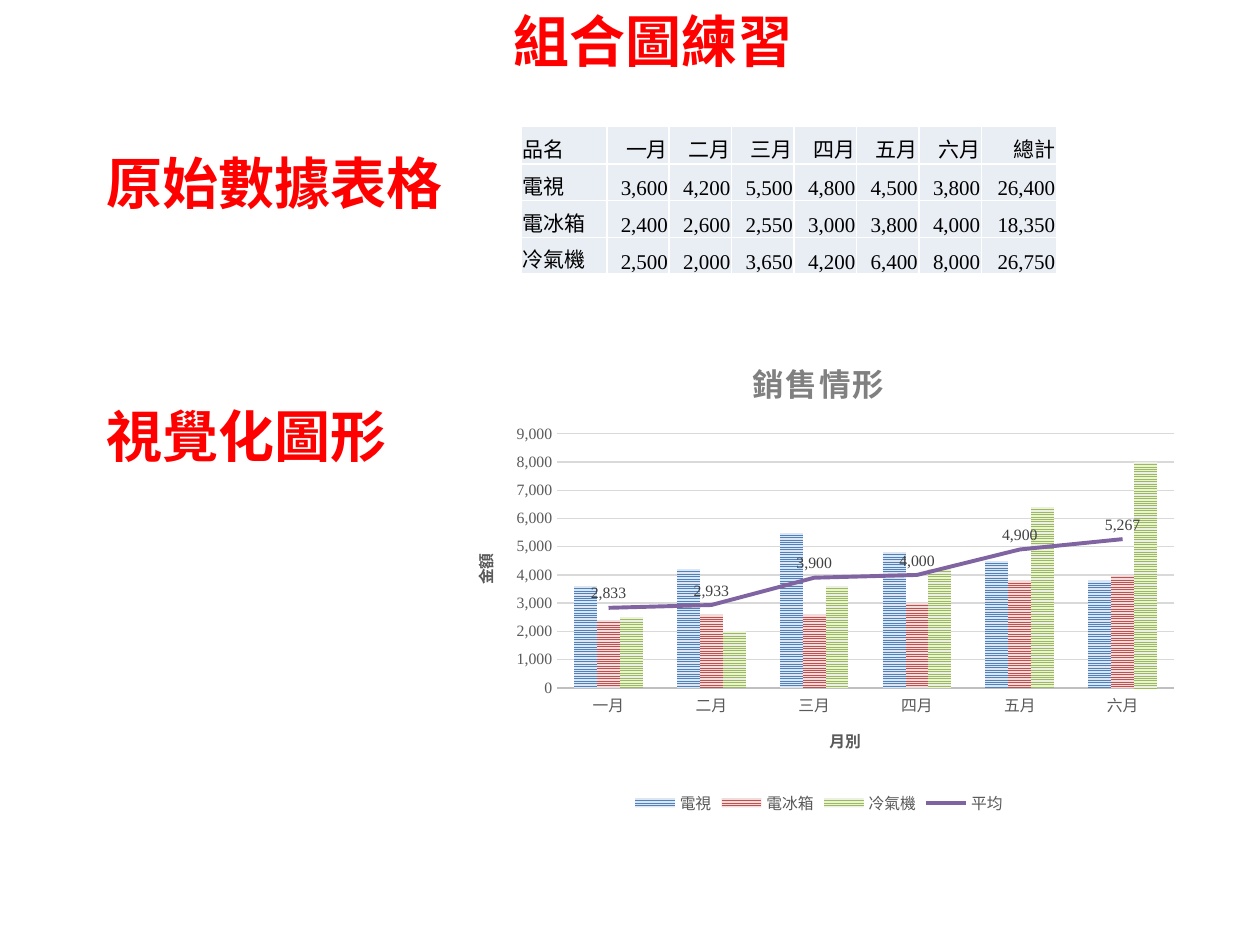
from pptx import Presentation
from pptx.chart.data import CategoryChartData
from pptx.dml.color import RGBColor as RGB
from pptx.enum.chart import (XL_CHART_TYPE as CT, XL_LABEL_POSITION as LP, XL_LEGEND_POSITION as LEG,
                             XL_MARKER_STYLE as MK, XL_TICK_MARK as TM)
from pptx.enum.dml import MSO_PATTERN as PAT
from pptx.enum.text import MSO_ANCHOR as MA, PP_ALIGN as AL
from pptx.oxml import parse_xml
from pptx.oxml.ns import nsdecls, qn
from pptx.util import Emu, Inches, Pt

COLORS = {"heading": "FF0000", "text": "000000", "cell": "E9EDF4", "title": "808080", "axis": "595959",
          "label": "404040", "grid": "D9D9D9", "base": "BFBFBF", "average": "8064A2"}
BARS = [("4F81BD", "DCE6F2"), ("C0504D", "F2DCDB"), ("9BBB59", "EBF1DE")]
SERIF = "Times New Roman"
FORMATS = {
    "heading": {"name": "Arial", "size": Pt(32), "bold": True},
    "text": {"name": SERIF, "size": Pt(12), "bold": False},
    "title": {"name": SERIF, "size": Pt(18), "bold": True},
    "axis": {"name": SERIF, "size": Pt(9), "bold": False},
    "axis_title": {"name": SERIF, "size": Pt(9), "bold": True},
    "label": {"name": SERIF, "size": Pt(9), "bold": False},
}
MONTHS = ["一月", "二月", "三月", "四月", "五月", "六月"]
SALES = {
    "電視": [3600, 4200, 5500, 4800, 4500, 3800],
    "電冰箱": [2400, 2600, 2550, 3000, 3800, 4000],
    "冷氣機": [2500, 2000, 3650, 4200, 6400, 8000],
}
CHART = (35.6, 26.5, 58.8, 38.5)
PLOT = (44.22, 34.43, 48.97, 20.17)


class SlideKit:
    """Style and current slide on a grid of 100 columns by 75 rows."""

    def __init__(self, prs):
        self.s = prs.slides.add_slide(prs.slide_layouts[5])
        self.unit = prs.slide_width / 100

    def grid(self, *cells):
        return [Emu(round(c * self.unit)) for c in cells]

    def font(self, font, style, color=None):
        for key, value in FORMATS[style].items():
            setattr(font, key, value)
        font.color.rgb = RGB.from_string(COLORS[color or style])

    def line(self, line, color, width):
        line.color.rgb = RGB.from_string(COLORS[color])
        line.width = Pt(width)

    def heading(self, text, box, sp=None):
        x, y, w, h = self.grid(*box)
        sp = sp or self.s.shapes.add_textbox(x, y, w, h)
        sp.left, sp.top, sp.width, sp.height = x, y, w, h
        tf = sp.text_frame
        tf.word_wrap, tf.vertical_anchor = True, MA.TOP
        p = tf.paragraphs[0]
        p.alignment = AL.LEFT
        r = p.add_run()
        r.text = text
        self.font(r.font, "heading")

    def table(self, rows, at, widths, heights):
        size = self.grid(*at, sum(widths), sum(heights))
        tbl = self.s.shapes.add_table(len(rows), len(widths), *size).table
        tbl.first_row = tbl.horz_banding = False
        for col, w in zip(tbl.columns, self.grid(*widths)):
            col.width = w
        for row, h, texts in zip(tbl.rows, self.grid(*heights), rows):
            row.height = h
            for i, (cell, text) in enumerate(zip(row.cells, texts)):
                cell.fill.solid()
                cell.fill.fore_color.rgb = RGB.from_string(COLORS["cell"])
                cell.vertical_anchor = MA.BOTTOM
                cell.margin_left = cell.margin_right = cell.margin_top = Inches(0.01)
                cell.margin_bottom = 0
                p = cell.text_frame.paragraphs[0]
                p.alignment = AL.RIGHT if i else AL.LEFT
                r = p.add_run()
                r.text = text
                self.font(r.font, "text")

    def layout(self, parent, index, box, place):
        for old in parent.findall(qn("c:layout")):
            parent.remove(old)
        left, top, width, height = box
        shares = {"x": (place[0] - left) / width, "y": (place[1] - top) / height}
        target = ""
        if len(place) == 4:
            shares.update(w=place[2] / width, h=place[3] / height)
            target = '<c:layoutTarget val="inner"/>'
        modes = "".join(f'<c:{k}Mode val="edge"/>' for k in "xy")
        values = "".join(f'<c:{k} val="{v:.4f}"/>' for k, v in shares.items())
        parent.insert(index, parse_xml(f'<c:layout {nsdecls("c")}><c:manualLayout>{target}{modes}{values}'
                                       '</c:manualLayout></c:layout>'))

    def chart_title(self, title, text, style, color, box, place, spacing=0, turn=0):
        tf = title.text_frame
        r = tf.paragraphs[0].add_run()
        r.text = text
        self.font(r.font, style, color)
        r.font._element.set("spc", str(spacing))
        tf._txBody.bodyPr.set("rot", str(turn * 60000))
        self.layout(title._element, 1, box, place)

    def line_plot(self, chart):
        bars = chart.plots[0]._element
        ser = bars.findall(qn("c:ser"))[-1]
        for old in ser.findall(qn("c:invertIfNegative")):
            ser.remove(old)
        axes = "".join(f'<c:axId val="{a.get("val")}"/>' for a in bars.findall(qn("c:axId")))
        lines = parse_xml(f'<c:lineChart {nsdecls("c")}><c:grouping val="standard"/><c:varyColors val="0"/>'
                          f'<c:marker val="1"/>{axes}</c:lineChart>')
        lines.insert(2, ser)
        bars.addnext(lines)
        return chart.plots[1].series[0]

    def combo(self, box, plot, cats, columns, average, title, cat_title, val_title):
        data = CategoryChartData(number_format="#,##0")
        data.categories = cats
        for name, values in columns.items():
            data.add_series(name, [round(v, -2) for v in values])
        data.add_series(*average)
        chart = self.s.shapes.add_chart(CT.COLUMN_CLUSTERED, *self.grid(*box), data).chart
        chart.font.name, chart.font.size = SERIF, Pt(10)
        avg = self.line_plot(chart)
        bars = chart.plots[0]
        bars.gap_width, bars.overlap, bars.vary_by_categories = 150, 0, False
        for ser, (fore, back) in zip(bars.series, BARS):
            fill = ser.format.fill
            fill.patterned()
            fill.pattern = PAT.NARROW_HORIZONTAL
            fill.fore_color.rgb, fill.back_color.rgb = RGB.from_string(fore), RGB.from_string(back)
        avg.smooth = False
        avg.marker.style = MK.NONE
        self.line(avg.format.line, "average", 2.25)
        labels = avg.data_labels
        labels.show_value, labels.position = True, LP.ABOVE
        labels.number_format, labels.number_format_is_linked = "#,##0", False
        self.font(labels.font, "label")
        cat, val = chart.category_axis, chart.value_axis
        for ax in (cat, val):
            ax.major_tick_mark = ax.minor_tick_mark = TM.NONE
            self.font(ax.tick_labels.font, "axis")
        self.line(cat.format.line, "base", 1.5)
        val.format.line.fill.background()
        val.minimum_scale, val.maximum_scale, val.major_unit = 0, 9000, 1000
        val.tick_labels.number_format, val.tick_labels.number_format_is_linked = "#,##0", False
        self.line(val.major_gridlines.format.line, "grid", 0.75)
        self.chart_title(chart.chart_title, title, "title", "title", box, (59.3, 27.8), spacing=100)
        self.chart_title(cat.axis_title, cat_title, "axis_title", "axis", box, (65.6, 57.5))
        self.chart_title(val.axis_title, val_title, "axis_title", "axis", box, (37.3, 43.7), turn=-90)
        self.layout(chart._chartSpace.chart.plotArea, 0, box, plot)
        chart.has_legend = True
        chart.legend.position, chart.legend.include_in_layout = LEG.BOTTOM, False
        self.font(chart.legend.font, "axis")


prs = Presentation()
prs.slide_width, prs.slide_height = Inches(10), Inches(7.5)
kit = SlideKit(prs)
kit.heading("組合圖練習", (39.75, 0, 49.6, 6.4), kit.s.shapes.title)
for text, top in [("原始數據表格", 11.3), ("視覺化圖形", 31.4)]:
    kit.heading(text, (7.5, top, 29.9, 6.4))
rows = [["品名", *MONTHS, "總計"]]
rows += [[name, *(f"{v:,}" for v in [*values, sum(values)])] for name, values in SALES.items()]
kit.table(rows, (41.36, 10), [6.8] + [4.96] * 6 + [5.95], [3] + [2.92] * 3)
average = ("平均", [round(sum(month) / len(month)) for month in zip(*SALES.values())])
kit.combo(CHART, PLOT, MONTHS, SALES, average, "銷售情形", "月別", "金額")
prs.save("out.pptx")
